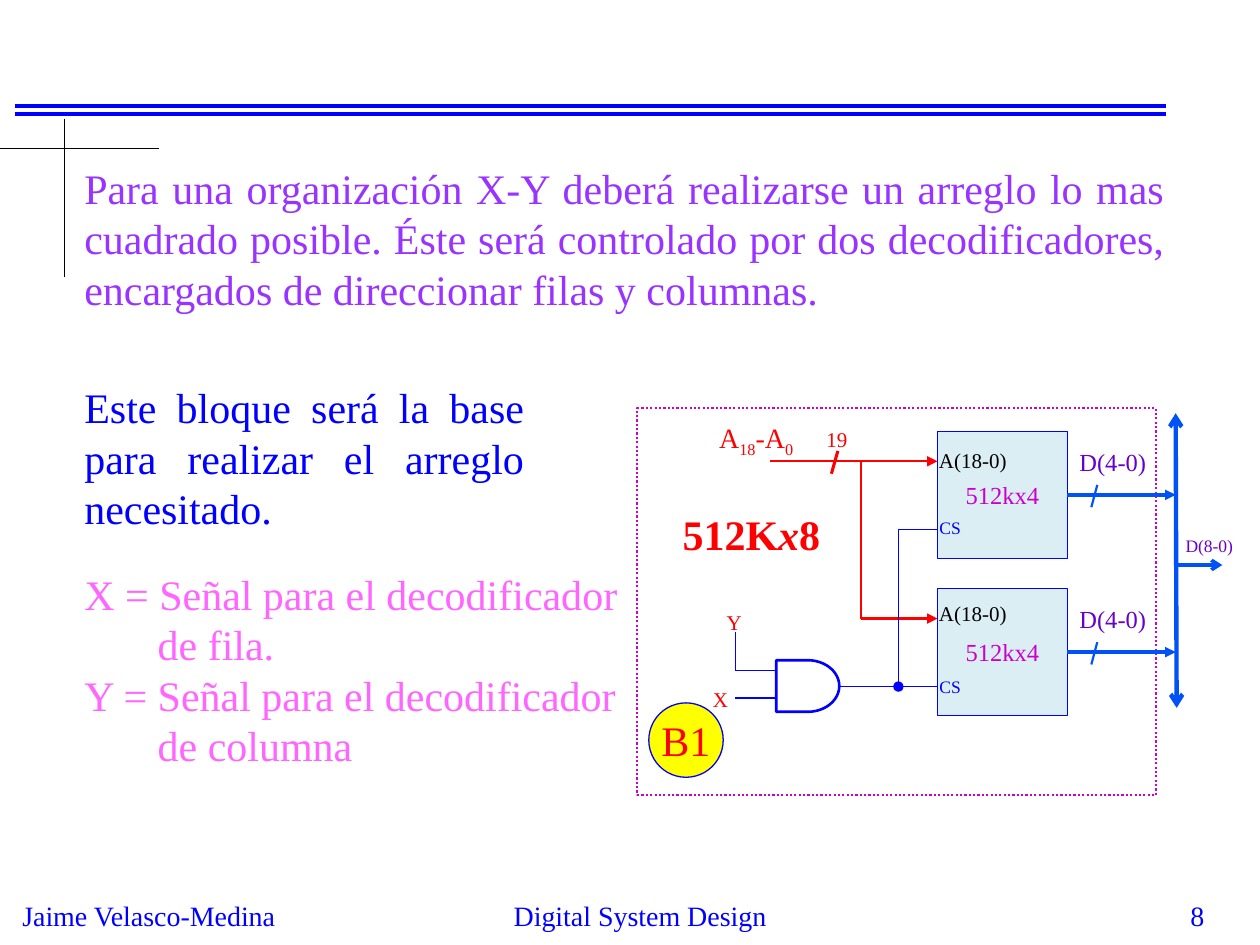
from lxml import etree
from pptx import Presentation, util as u
from pptx.dml.color import RGBColor
from pptx.enum import dml, shapes, text
from pptx.oxml.ns import qn

COLORS = {
    "blue": "0000FF", "black": "000000", "violet": "9933FF", "pink": "FF66FF",
    "red": "FF0000", "magenta": "CC00CC", "purple": "6600CC", "bus": "0052F6",
    "chip": "DBEEF4", "yellow": "FFFF00",
}
FONT = "Times New Roman"
LEFT, CENTER, RIGHT, JUSTIFY = (
    text.PP_ALIGN.LEFT, text.PP_ALIGN.CENTER, text.PP_ALIGN.RIGHT, text.PP_ALIGN.JUSTIFY)


def color(name):
    return RGBColor.from_string(COLORS[name])


def write(paragraph, content, size=12, tone="black", align=LEFT, bold=False,
          italic=False, baseline=0, indent=0):
    """Add one run; baseline is a percentage, indent is in centimetres."""
    paragraph.alignment = align
    if indent:
        paragraph._p.get_or_add_pPr().set("marL", str(u.Cm(indent)))
    run = paragraph.add_run()
    run.text = content
    font = run.font
    font.name, font.size, font.bold, font.italic = FONT, u.Pt(size), bold, italic
    font.color.rgb = color(tone)
    if baseline:
        run._r.get_or_add_rPr().set("baseline", str(baseline * 1000))


class Diagram:
    """Draws styled elements on one slide; all lengths are centimetres."""

    def __init__(self, slide):
        self.slide = slide

    def box(self, left, top, width, height, wrap=True):
        shape = self.slide.shapes.add_textbox(*map(u.Cm, (left, top, width, height)))
        shape.text_frame.word_wrap = wrap
        return shape.text_frame

    def label(self, content, left, top, width, height, wrap=True, **style):
        write(self.box(left, top, width, height, wrap).paragraphs[0], content, **style)

    def rich_label(self, parts, left, top, width, height, **style):
        """Write (content, extra format) pairs as runs of one paragraph."""
        paragraph = self.box(left, top, width, height).paragraphs[0]
        for content, extra in parts:
            write(paragraph, content, **style, **extra)

    def shape(self, kind, left, top, width, height, line, weight, fill=None,
              dash=None, content="", wrap=True, **style):
        shape = self.slide.shapes.add_shape(kind, *map(u.Cm, (left, top, width, height)))
        shape.shadow.inherit = False
        if fill:
            shape.fill.solid()
            shape.fill.fore_color.rgb = color(fill)
        else:
            shape.fill.background()
        shape.line.color.rgb = color(line)
        shape.line.width = u.Pt(weight)
        if dash:
            shape.line.dash_style = dash
        if content:
            frame = shape.text_frame
            frame.word_wrap = wrap
            frame.vertical_anchor = text.MSO_ANCHOR.MIDDLE
            write(frame.paragraphs[0], content, align=CENTER, **style)
        return shape

    def line(self, x1, y1, x2, y2, tone="blue", weight=0.75, head=None, tail=None,
             source=None):
        """Draw a line; source is a (shape, side) pair to join its start to."""
        connector = self.slide.shapes.add_connector(
            shapes.MSO_CONNECTOR.STRAIGHT, *map(u.Cm, (x1, y1, x2, y2)))
        connector.line.color.rgb = color(tone)
        connector.line.width = u.Pt(weight)
        if source:
            connector.begin_connect(*source)
        outline = connector.line._get_or_add_ln()
        for tag, end in (("a:headEnd", head), ("a:tailEnd", tail)):
            if end:
                etree.SubElement(outline, qn(tag)).set("type", end)
        etree.SubElement(connector._element.spPr, qn("a:effectLst"))


def draw_frame(diagram):
    for y in (2.13, 2.29):
        diagram.line(0.3, y, 23.5, y, weight=2.25)
    diagram.line(0, 3, 3.2, 3, "black")
    diagram.line(1.3, 2.39, 1.3, 5.59, "black")
    footer = dict(size=16, tone="blue")
    diagram.label("Jaime Velasco-Medina", 0.2, 17.98, 5.72, 0.94, wrap=False, **footer)
    diagram.label("Digital System Design", 8.46, 17.98, 8.89, 0.84, align=CENTER, **footer)
    diagram.label("8", 19.25, 17.98, 5.28, 0.64, align=RIGHT, **footer)


def draw_explanation(diagram):
    diagram.label(
        "Para una organización X-Y deberá realizarse un arreglo lo mas cuadrado posible. "
        "Éste será controlado por dos decodificadores, encargados de direccionar filas "
        "y columnas.", 1.45, 3.15, 22.28, 3.3, size=24, tone="violet", align=JUSTIFY)
    diagram.label("Este bloque será la base para realizar el arreglo necesitado.",
                  1.45, 7.57, 9.37, 3.3, size=24, tone="blue", align=JUSTIFY)
    frame = diagram.box(1.45, 11.33, 14.63, 5.33)
    signals = (("X = Señal para el decodificador", 0), ("de fila.", 1.48),
               ("Y = Señal para el decodificador", 0), ("de columna", 1.48))
    for index, (content, indent) in enumerate(signals):
        paragraph = frame.add_paragraph() if index else frame.paragraphs[0]
        write(paragraph, content, size=24, tone="pink", indent=indent)


def draw_memory(diagram, top, address_start, address_label, select_label):
    """Draw one memory chip with its address, select and data lines."""
    left, width, height, bus = 18.9, 2.62, 2.57, 23.7
    middle = top + height / 2
    chip = diagram.shape(shapes.MSO_SHAPE.RECTANGLE, left, top, width, height, "blue", 0.5,
                         fill="chip", content="512kx4", size=14, tone="magenta")
    diagram.line(18.11, top + 1.98, left, top + 1.98)
    diagram.line(address_start, top + 0.61, left, top + 0.61, "red", 1.25, tail="triangle")
    diagram.line(left + width, middle, bus, middle, "bus", 2, tail="triangle",
                 source=(chip, 3))
    diagram.line(22, middle + 0.25, 22.12, middle - 0.2, "bus", 1.25)
    diagram.label("A(18-0)", 18.68, top + address_label, 1.98, 0.76)
    diagram.label("CS", 18.69, top + select_label, 1.09, 0.69, size=10, tone="blue")
    diagram.label("D(4-0)", 21.51, top + 0.2, 1.98, 0.84, size=14, tone="purple")


def draw_block(diagram):
    first, second = 8.69, 11.86
    diagram.shape(shapes.MSO_SHAPE.RECTANGLE, 12.85, 8.23, 10.46, 7.8, "magenta", 1.25,
                  dash=dml.MSO_LINE.ROUND_DOT)
    draw_memory(diagram, first, 15.52, 0.2, 1.6)
    draw_memory(diagram, second, 17.35, 0.13, 1.65)

    # Address bus
    diagram.line(17.35, second + 0.61, 17.35, first + 0.61, "red", 1.25)
    diagram.line(16.76, 9.55, 16.89, 9.09, "red", 1.75)
    subscript = dict(baseline=-25)
    diagram.rich_label((("A", {}), ("18", subscript), ("-A", {}), ("0", subscript)),
                       14.25, 8.36, 2.51, 0.94, size=16, tone="red")
    diagram.label("19", 16.41, 8.48, 0.99, 1.27, tone="red")

    # Data bus
    diagram.line(23.7, 8.33, 23.72, 14.27, "bus", 2.5, head="arrow", tail="arrow")
    diagram.line(23.75, 11.39, 24.64, 11.39, "bus", 2, tail="arrow")
    diagram.label("D(8-0)", 23.65, 10.67, 1.63, 0.69, size=10, tone="purple")

    # Chip select logic
    diagram.line(18.11, first + 1.98, 18.11, second + 1.98)
    diagram.line(18.11, second + 1.98, 16.9, second + 1.98, head="oval")
    diagram.shape(shapes.MSO_SHAPE.FLOWCHART_DELAY, 15.65, 13.31, 1.27, 1.04, "blue", 1.5)
    for y in (13.51, 14.07):
        diagram.line(14.82, y, 15.63, y)
    diagram.line(14.82, 12.75, 14.82, 13.51)
    diagram.label("Y", 14.4, 12.17, 0.99, 0.76, tone="red")
    diagram.label("X", 14.12, 13.72, 0.99, 0.76, tone="red")

    diagram.rich_label((("512K", {}), ("x", dict(italic=True)), ("8", {})),
                       13.51, 10.13, 3.63, 1.27, size=24, tone="red", bold=True)
    diagram.shape(shapes.MSO_SHAPE.OVAL, 13.08, 14.17, 1.5, 1.5, "blue", 0.75,
                  fill="yellow", content="B1", wrap=False, size=24, tone="red")


def main():
    presentation = Presentation()
    presentation.slide_width, presentation.slide_height = u.Cm(25.4), u.Cm(19.05)
    diagram = Diagram(presentation.slides.add_slide(presentation.slide_layouts[6]))
    draw_frame(diagram)
    draw_explanation(diagram)
    draw_block(diagram)
    presentation.save("out.pptx")


if __name__ == "__main__":
    main()
